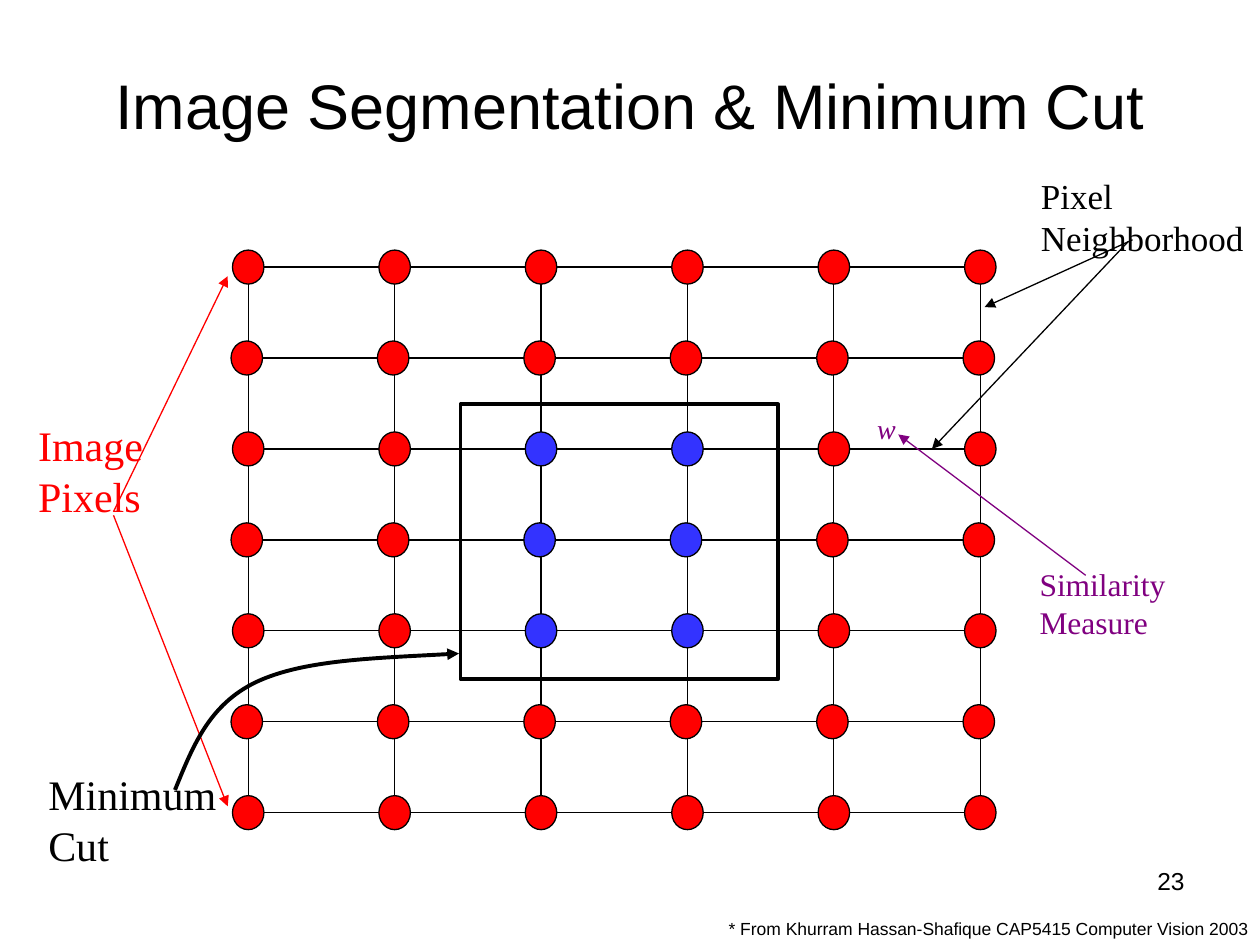
from dataclasses import dataclass
from itertools import product

from lxml import etree
from pptx import Presentation
from pptx import util as u
from pptx.dml.color import RGBColor
from pptx.enum import shapes, text
from pptx.oxml.ns import qn

COLORS = {"ink": "000000", "background": "FF0000", "object": "3333FF",
          "pixels": "FF0000", "similarity": "800080"}
SERIF, SANS = "Times New Roman", "Arial"
COLS, ROWS = 6, 7
OBJECT_COLS, OBJECT_ROWS = (2, 3), (2, 3, 4)
NODE_W, NODE_H = u.Inches(0.25), u.Inches(0.27)
THIN, THICK = 0.75, 2.25


@dataclass
class Grid:
    """A box in inches, divided into equal columns and rows."""
    left: float
    top: float
    width: float
    height: float
    cols: int = 1
    rows: int = 1

    def size(self, cols, rows):
        return (u.Inches(self.width * cols / self.cols),
                u.Inches(self.height * rows / self.rows))

    def at(self, col, row):
        dx, dy = self.size(col, row)
        return u.Inches(self.left) + dx, u.Inches(self.top) + dy


def rgb(color):
    return RGBColor.from_string(COLORS[color])


def set_line(shape, color, width, arrow=False):
    shape.line.color.rgb = rgb(color)
    shape.line.width = u.Pt(width)
    if arrow:
        etree.SubElement(shape.line._get_or_add_ln(), qn("a:tailEnd"), type="triangle")


def add_line(slide, start, end, color="ink", arrow=False):
    line = slide.shapes.add_connector(shapes.MSO_CONNECTOR.STRAIGHT, *start, *end)
    set_line(line, color, THIN, arrow)
    etree.SubElement(line._element.spPr, qn("a:effectLst"))


def add_label(slide, grid, place, extent, words, size, font=SERIF, color="ink",
              align=text.PP_ALIGN.LEFT, anchor=text.MSO_ANCHOR.TOP,
              wrap=False, italic=False):
    frame = slide.shapes.add_textbox(*grid.at(*place), *grid.size(*extent)).text_frame
    frame.text = words
    frame.word_wrap = wrap
    frame.vertical_anchor = anchor
    for paragraph in frame.paragraphs:
        paragraph.alignment = align
        for run in paragraph.runs:
            run.font.name, run.font.size = font, u.Pt(size)
            run.font.italic = italic
            run.font.color.rgb = rgb(color)


def add_lattice(slide, grid):
    """Neighbour links with a pixel node on every crossing."""
    for row in range(ROWS):
        add_line(slide, grid.at(-0.1, row), grid.at(COLS - 0.93, row))
    for col in range(COLS):
        add_line(slide, grid.at(col, -0.18), grid.at(col, ROWS - 0.81))
    for col, row in product(range(COLS), range(ROWS)):
        x, y = grid.at(col - 0.01 * (row % 2), row)
        node = slide.shapes.add_shape(shapes.MSO_SHAPE.OVAL, x - NODE_W // 2,
                                      y - NODE_H // 2, NODE_W, NODE_H)
        inside = col in OBJECT_COLS and row in OBJECT_ROWS
        node.shadow.inherit = False
        node.fill.solid()
        node.fill.fore_color.rgb = rgb("object" if inside else "background")
        set_line(node, "ink", THIN)


def add_callouts(slide, grid):
    arrows = [
        ((-0.92, 2.69), (-0.14, 0.1), "pixels"),
        ((-0.92, 2.73), (-0.14, 5.93), "pixels"),
        ((6.04, -0.3), (5.03, 0.44), "ink"),
        ((6.01, -0.28), (4.67, 2), "ink"),
        ((5.72, 3.39), (4.44, 1.84), "similarity"),
    ]
    for start, end, color in arrows:
        add_line(slide, grid.at(*start), grid.at(*end), color, arrow=True)
    add_label(slide, grid, (-1.52, 1.61), (0.89, 1.25), "Image\nPixels", 24, color="pixels")
    add_label(slide, grid, (5.33, -1.09), (1.56, 1.07), "Pixel\nNeighborhood", 20)
    add_label(slide, grid, (4.21, 1.52), (0.3, 0.51), "w", 16, color="similarity", italic=True)
    add_label(slide, grid, (5.32, 3.21), (1.03, 0.97), "Similarity\nMeasure", 18,
              color="similarity")


def add_curved_arrow(slide, start, controls):
    """Arrow through cubic curves, three control points for each curve."""
    builder = slide.shapes.build_freeform(*start)
    builder.add_line_segments(controls, close=False)
    arrow = builder.convert_to_shape()
    arrow.shadow.inherit = False
    arrow.fill.background()
    set_line(arrow, "ink", THICK, arrow=True)
    segments = list(arrow._element.iter(qn("a:lnTo")))
    for first, second, third in zip(segments[::3], segments[1::3], segments[2::3]):
        first.tag = qn("a:cubicBezTo")
        for segment in (second, third):
            first.append(segment[0])
            segment.getparent().remove(segment)


def add_minimum_cut(slide, grid):
    cut = slide.shapes.add_shape(shapes.MSO_SHAPE.RECTANGLE, *grid.at(1.45, 1.51),
                                 *grid.size(2.17, 3.02))
    cut.shadow.inherit = False
    cut.fill.background()
    set_line(cut, "ink", THICK)
    controls = [(-0.38, 5.28), (-0.27, 4.81), (0.06, 4.56),
                (0.38, 4.32), (0.9, 4.3), (1.44, 4.25)]
    add_curved_arrow(slide, grid.at(-0.5, 5.75), [grid.at(*point) for point in controls])
    add_label(slide, grid, (-1.45, 5.45), (1.32, 1.25), "Minimum\nCut", 24)


def add_title(slide, page):
    add_label(slide, page, (0.07, 0.03), (0.86, 0.16), "Image Segmentation & Minimum Cut",
              36, SANS, align=text.PP_ALIGN.CENTER, anchor=text.MSO_ANCHOR.MIDDLE, wrap=True)


def add_footer(slide, page):
    add_label(slide, page, (0.56, 0.96), (0.44, 0.04),
              "* From Khurram Hassan-Shafique CAP5415 Computer Vision 2003", 10, SANS,
              align=text.PP_ALIGN.RIGHT, anchor=text.MSO_ANCHOR.BOTTOM, wrap=True)
    add_label(slide, page, (0.72, 0.91), (0.23, 0.07), "23", 14, SANS,
              align=text.PP_ALIGN.RIGHT, wrap=True)


def main():
    deck = Presentation()
    page = Grid(0, 0, 10, 7.5)
    deck.slide_width, deck.slide_height = page.size(1, 1)
    slide = deck.slides.add_slide(deck.slide_layouts[6])
    lattice = Grid(1.97, 2.12, 5.81, 4.33, COLS - 1, ROWS - 1)
    add_title(slide, page)
    add_lattice(slide, lattice)
    add_callouts(slide, lattice)
    add_minimum_cut(slide, lattice)
    add_footer(slide, page)
    deck.save("out.pptx")


if __name__ == "__main__":
    main()
